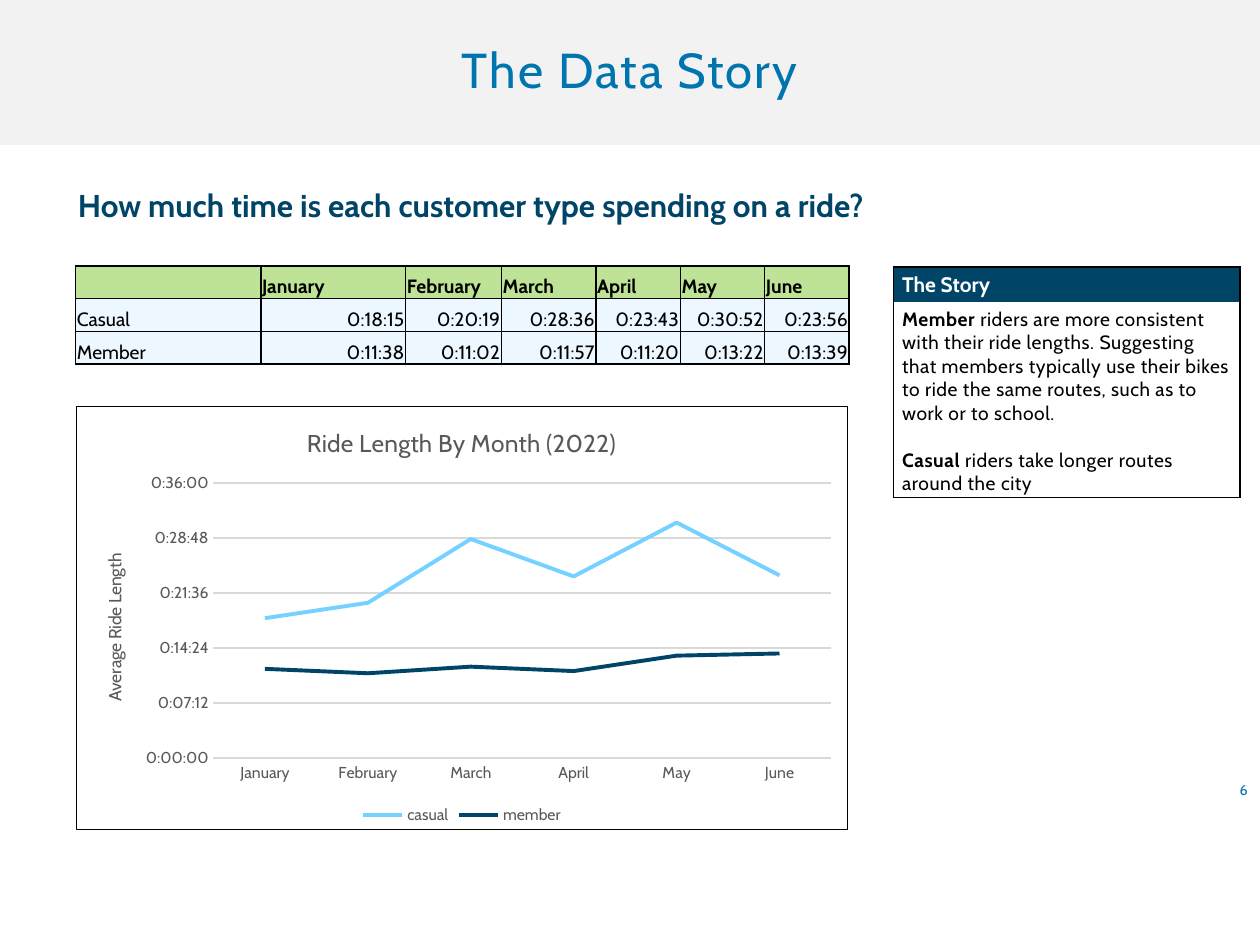
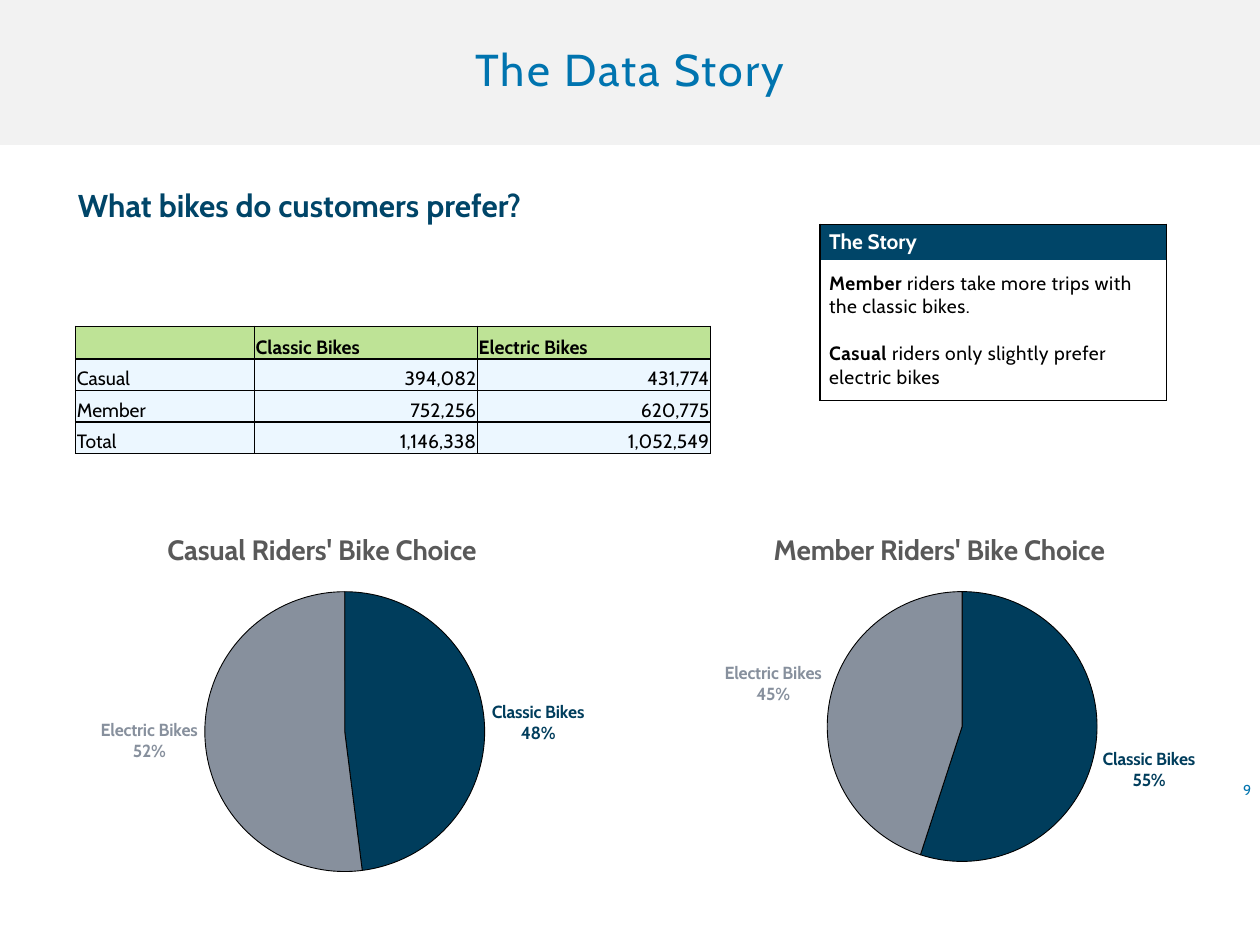
from dataclasses import dataclass

from lxml import etree
from pptx import Presentation
from pptx.chart.data import CategoryChartData
from pptx.dml.color import RGBColor
from pptx.enum.chart import XL_CHART_TYPE as ChartType
from pptx.enum.chart import XL_LABEL_POSITION as LabelPosition
from pptx.enum.chart import XL_LEGEND_POSITION as LegendPosition
from pptx.enum.chart import XL_TICK_MARK as TickMark
from pptx.enum.text import MSO_ANCHOR as Anchor
from pptx.enum.text import PP_ALIGN as Align
from pptx.oxml import parse_xml
from pptx.oxml.ns import nsdecls, qn
from pptx.util import Inches, Pt


@dataclass(frozen=True)
class Theme:
    font: str = "Cabin"
    band: str = "F2F2F2"
    accent: str = "0074AF"
    navy: str = "004568"
    sky: str = "75D1FF"
    header: str = "BEE396"
    row: str = "ECF7FF"
    black: str = "000000"
    white: str = "FFFFFF"
    grey: str = "595959"
    grid: str = "D9D9D9"
    classic: str = "003D5C"
    electric: str = "87909D"
    heading: float = 18
    pie_title: float = 16
    line_title: float = 14
    story_title: float = 12
    body: float = 11
    label: float = 10
    axis: float = 9
    number: float = 8.2
    story_gap: float = 13.4


THEME = Theme()
TITLE = "The Data Story"
STORY_TITLE = "The Story"
MARGIN = 0.6

RIDE_TABLE = [
    ["", "January", "February", "March", "April", "May", "June"],
    ["Casual", "0:18:15", "0:20:19", "0:28:36", "0:23:43", "0:30:52", "0:23:56"],
    ["Member", "0:11:38", "0:11:02", "0:11:57", "0:11:20", "0:13:22", "0:13:39"],
]
RIDE_COLUMNS = [1.47, 1.15, 0.76, 0.75, 0.67, 0.67, 0.67]
RIDE_COLORS = [THEME.sky, THEME.navy]
RIDE_STORY = [
    ("Member", " riders are more consistent with their ride lengths. Suggesting "
     "that members typically use their bikes to ride the same routes, such as "
     "to work or to school."),
    ("Casual", " riders take longer routes around the city"),
]

BIKE_TABLE = [
    ["", "Classic Bikes", "Electric Bikes"],
    ["Casual", "394,082", "431,774"],
    ["Member", "752,256", "620,775"],
    ["Total", "1,146,338", "1,052,549"],
]
BIKE_COLUMNS = [1.42, 1.77, 1.85]
BIKE_STORY = [
    ("Member", " riders take more trips with the classic bikes."),
    ("Casual", " riders only slightly prefer electric bikes"),
]
# title, shares in percent, left edge, plot area as fractions of the chart
BIKE_PIES = [
    ("Casual Riders' Bike Choice", (48, 52), 0.07, (0.313, 0.212, 0.447, 0.741)),
    ("Member Riders' Bike Choice", (55, 45), 4.97, (0.321, 0.212, 0.431, 0.714)),
]


def rgb(color):
    return RGBColor.from_string(color)


def style(font, size, color, bold=False):
    font.name, font.size, font.bold = THEME.font, Pt(size), bold
    font.color.rgb = rgb(color)


def add_span(para, text, size, color, bold=False, spacing=0):
    """Add one run; spacing is the letter spacing in points."""
    span = para.add_run()
    span.text = text
    style(span.font, size, color, bold)
    if spacing:
        span._r.get_or_add_rPr().set("spc", str(round(spacing * 100)))


def set_insets(target, left, top, right, bottom):
    target.margin_left, target.margin_top = Inches(left), Inches(top)
    target.margin_right, target.margin_bottom = Inches(right), Inches(bottom)


def add_text(page, place, text, size, color, bold=False, align=Align.LEFT,
             anchor=Anchor.TOP, inset=0.1):
    frame = page.shapes.add_textbox(*map(Inches, place)).text_frame
    frame.word_wrap = True
    frame.vertical_anchor = anchor
    set_insets(frame, inset, 0.05, inset, 0.05)
    para = frame.paragraphs[0]
    para.alignment = align
    add_span(para, text, size, color, bold)


def add_page(deck, title_size, heading, number, number_inset):
    page = deck.slides.add_slide(deck.slide_layouts[5])
    title = page.shapes.title
    title.left, title.top, title.width, title.height = map(Inches, (0, 0, 10, 1.15))
    title.fill.solid()
    title.fill.fore_color.rgb = rgb(THEME.band)
    frame = title.text_frame
    frame.vertical_anchor = Anchor.MIDDLE
    set_insets(frame, 0.5, 0.05, 0.5, 0.05)
    para = frame.paragraphs[0]
    para.alignment, para.line_spacing = Align.CENTER, 0.9
    add_span(para, TITLE, title_size, THEME.accent, spacing=1.2)
    add_text(page, (0.52, 1.43, 7.37, 0.4), heading, THEME.heading, THEME.navy, bold=True)
    add_text(page, (7.75, 6.12, 2.25, 0.3), number, THEME.number, THEME.accent,
             align=Align.RIGHT, anchor=Anchor.MIDDLE, inset=number_inset)
    return page


def paint_cell(cell, fill, sides="LRTB"):
    """Fill a cell and draw 1 pt borders on the named sides only."""
    props = cell._tc.get_or_add_tcPr()
    for side in "LRTB":
        line = etree.SubElement(props, qn(f"a:ln{side}"), w=str(Pt(1)))
        if side in sides:
            solid = etree.SubElement(line, qn("a:solidFill"))
            etree.SubElement(solid, qn("a:srgbClr"), val=THEME.black)
        else:
            etree.SubElement(line, qn("a:noFill"))
    cell.fill.solid()
    cell.fill.fore_color.rgb = rgb(fill)


def add_grid(page, left, top, columns, rows):
    """Add an unbanded table with the given column widths and row heights."""
    place = map(Inches, (left, top, sum(columns), sum(rows)))
    table = page.shapes.add_table(len(rows), len(columns), *place).table
    table.first_row = table.horz_banding = False
    for column, width in zip(table.columns, columns):
        column.width = Inches(width)
    for row, height in zip(table.rows, rows):
        row.height = Inches(height)
    return table


def add_data_table(page, top, columns, rows, content):
    table = add_grid(page, MARGIN, top, columns, rows)
    for r, texts in enumerate(content):
        for c, text in enumerate(texts):
            cell = table.cell(r, c)
            paint_cell(cell, THEME.row if r else THEME.header)
            cell.vertical_anchor = Anchor.BOTTOM
            set_insets(cell, 0.01, 0.01, 0.01, 0)
            para = cell.text_frame.paragraphs[0]
            para.alignment = Align.RIGHT if r and c else Align.LEFT
            if text:
                add_span(para, text, THEME.body, THEME.black, bold=r == 0)
            else:
                etree.SubElement(para._p, qn("a:endParaRPr"), sz=str(THEME.body * 100))


def add_story(page, left, top, body_height, story):
    table = add_grid(page, left, top, [2.75], [0.28, body_height])
    head, body = table.cell(0, 0), table.cell(1, 0)
    paint_cell(head, THEME.navy, "LRT")
    paint_cell(body, THEME.white, "LRB")
    for cell in (head, body):
        set_insets(cell, 0.07, 0.04, 0.07, 0.04)
    body.vertical_anchor = Anchor.MIDDLE
    add_span(head.text_frame.paragraphs[0], STORY_TITLE, THEME.story_title,
             THEME.white, bold=True)
    frame = body.text_frame
    for i, (rider, text) in enumerate(story):
        para = frame.add_paragraph() if i else frame.paragraphs[0]
        para.space_before = Pt(THEME.story_gap if i else 0)
        add_span(para, rider, THEME.body, THEME.black, bold=True, spacing=0.3)
        add_span(para, text, THEME.body, THEME.black, spacing=0.3)


def add_chart(page, kind, place, data, title, title_size, title_bold, plot_area):
    chart = page.shapes.add_chart(kind, *map(Inches, place), data).chart
    style(chart.font, THEME.label, THEME.black)
    chart.has_title = True
    add_span(chart.chart_title.text_frame.paragraphs[0], title, title_size,
             THEME.grey, title_bold)
    chart.chart_title.include_in_layout = False
    chart.has_legend = False
    area = chart._chartSpace.chart.plotArea
    for old in area.findall(qn("c:layout")):
        area.remove(old)
    layout = etree.Element(qn("c:layout"))
    manual = etree.SubElement(layout, qn("c:manualLayout"))
    settings = [("layoutTarget", "inner"), ("xMode", "edge"), ("yMode", "edge")]
    for tag, value in settings + list(zip("xywh", plot_area)):
        etree.SubElement(manual, qn(f"c:{tag}"), val=str(value))
    area.insert(0, layout)
    return chart


def day_fraction(time):
    hours, minutes, seconds = map(int, time.split(":"))
    return round((hours * 3600 + minutes * 60 + seconds) / 86400, 4)


def set_line(line, color, width):
    line.color.rgb = rgb(color)
    line.width = Pt(width)


def add_ride_chart(page):
    data = CategoryChartData(number_format="[h]:mm:ss")
    data.categories = RIDE_TABLE[0][1:]
    for rider, *times in RIDE_TABLE[1:]:
        data.add_series(rider.lower(), [day_fraction(time) for time in times])
    chart = add_chart(page, ChartType.LINE, (MARGIN, 3.22, 6.13, 3.37), data,
                      "Ride Length By Month (2022)", THEME.line_title, False,
                      (0.178, 0.181, 0.801, 0.65))
    chart._chartSpace.chart.addnext(parse_xml(
        f'<c:spPr {nsdecls("c", "a")}><a:noFill/><a:ln w="{Pt(0.75)}"><a:solidFill>'
        f'<a:srgbClr val="{THEME.black}"/></a:solidFill></a:ln></c:spPr>'))
    for series, color in zip(chart.plots[0].series, RIDE_COLORS):
        series.smooth = False
        set_line(series.format.line, color, 2.25)
    months, lengths = chart.category_axis, chart.value_axis
    for axis in (months, lengths):
        axis.major_tick_mark = axis.minor_tick_mark = TickMark.NONE
        style(axis.tick_labels.font, THEME.axis, THEME.grey)
    set_line(months.format.line, THEME.grid, 0.75)
    lengths.format.line.fill.background()
    set_line(lengths.major_gridlines.format.line, THEME.grid, 0.75)
    lengths.minimum_scale, lengths.maximum_scale, lengths.major_unit = 0, 0.025, 0.005
    lengths.tick_labels.number_format = "[h]:mm:ss"
    lengths.tick_labels.number_format_is_linked = False
    frame = lengths.axis_title.text_frame
    frame._txBody.find(qn("a:bodyPr")).set("rot", "-5400000")
    add_span(frame.paragraphs[0], "Average Ride Length", THEME.label, THEME.grey)
    chart.has_legend = True
    chart.legend.position = LegendPosition.BOTTOM
    chart.legend.include_in_layout = False
    style(chart.legend.font, THEME.axis, THEME.grey)


def add_bike_pie(page, title, shares, left, plot_area):
    data = CategoryChartData(number_format="#,##0")
    data.categories = BIKE_TABLE[0][1:]
    data.add_series("Series 1", shares)
    chart = add_chart(page, ChartType.PIE, (left, 4.06, 4.97, 3), data, title,
                      THEME.pie_title, True, plot_area)
    plot = chart.plots[0]
    plot.vary_by_categories = True
    for i, color in enumerate((THEME.classic, THEME.electric)):
        point = plot.series[0].points[i]
        point.format.fill.solid()
        point.format.fill.fore_color.rgb = rgb(color)
        set_line(point.format.line, THEME.black, 0.5)
        label = point.data_label
        style(label.font, THEME.label, color, bold=True)
        label.position = LabelPosition.OUTSIDE_END
        element = label._get_or_add_dLbl()
        for tag, shown in (("showVal", 0), ("showCatName", 1), ("showPercent", 1)):
            element.find(qn(f"c:{tag}")).set("val", str(shown))
        etree.SubElement(element, qn("c:separator")).text = "\n"


def main():
    deck = Presentation()
    deck.slide_width, deck.slide_height = Inches(10), Inches(7.5)

    rides = add_page(deck, 28, "How much time is each customer type spending on a ride?",
                     "6", 0.1)
    add_data_table(rides, 2.11, RIDE_COLUMNS, [0.26] * 3, RIDE_TABLE)
    add_ride_chart(rides)
    add_story(rides, 7.09, 2.12, 1.54, RIDE_STORY)

    bikes = add_page(deck, 25.5, "What bikes do customers prefer?", "9", 0.07)
    add_data_table(bikes, 2.59, BIKE_COLUMNS, [0.26] + [0.25] * 3, BIKE_TABLE)
    for pie in BIKE_PIES:
        add_bike_pie(bikes, *pie)
    add_story(bikes, 6.51, 1.78, 1.12, BIKE_STORY)

    deck.save("out.pptx")


if __name__ == "__main__":
    main()
